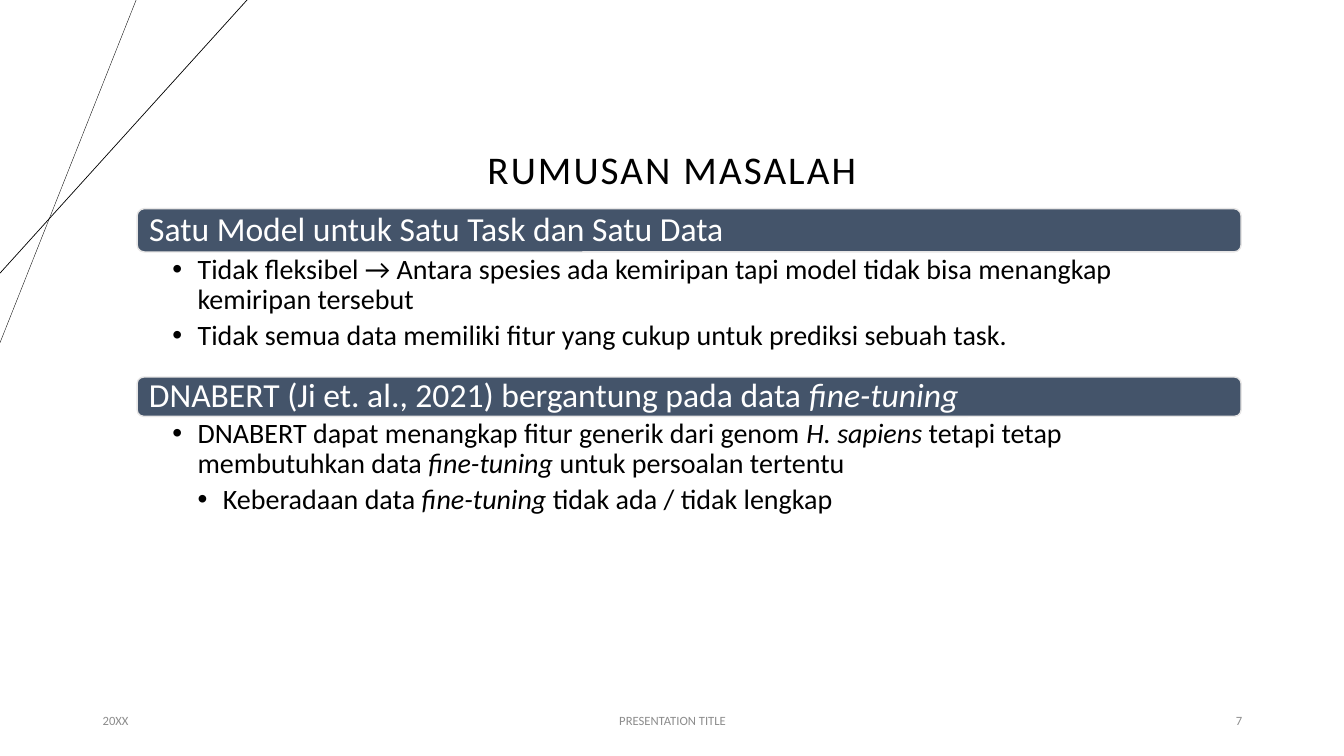
"""Build the "Rumusan Masalah" slide with two headed bullet sections."""
from lxml import etree
from pptx import Presentation
from pptx.dml.color import RGBColor
from pptx.enum.shapes import MSO_CONNECTOR, MSO_SHAPE
from pptx.enum.text import MSO_ANCHOR, PP_ALIGN
from pptx.oxml.ns import qn
from pptx.util import Inches, Pt


def rgb(color):
    return RGBColor.from_string(color)


def write(p, text, size, color, align=PP_ALIGN.LEFT):
    """Fill a paragraph; text between asterisks is italic."""
    p.alignment = align
    for i, part in enumerate(text.split("*")):
        if part:
            r = p.add_run()
            r.text = part
            r.font.name = "Calibri"
            r.font.size = Pt(size)
            r.font.color.rgb = rgb(color)
            r.font.italic = i % 2 == 1


prs = Presentation()
prs.slide_width, prs.slide_height = Inches(13.33), Inches(7.5)
s = prs.slides.add_slide(prs.slide_layouts[5])

for x, y, width in [(1.35, 3.4, 0.25), (2.45, 2.71, 0.5)]:
    line = s.shapes.add_connector(MSO_CONNECTOR.STRAIGHT, Inches(x), 0, 0, Inches(y))
    line.line.color.rgb = rgb("000000")
    line.line.width = Pt(width)
    etree.SubElement(line._element.spPr, qn("a:effectLst"))

title = s.shapes.title
title.left, title.top = Inches(2.06), Inches(0.98)
title.width, title.height = Inches(9.21), Inches(1.45)
tf = title.text_frame
tf.vertical_anchor = MSO_ANCHOR.MIDDLE
p = tf.paragraphs[0]
p.line_spacing = 0.9
write(p, "RUMUSAN MASALAH", 28, "000000", PP_ALIGN.CENTER)
p.runs[0].font._element.set("spc", "150")

sections = [
    (2.07, 0.43, 1.23, "Satu Model untuk Satu Task dan Satu Data", [
        (1, "Tidak fleksibel → Antara spesies ada kemiripan tapi model tidak bisa "
            "menangkap kemiripan tersebut"),
        (1, "Tidak semua data memiliki fitur yang cukup untuk prediksi sebuah task."),
    ]),
    (3.74, 0.39, 2.24, "DNABERT (Ji et. al., 2021) bergantung pada data *fine-tuning*", [
        (1, "DNABERT dapat menangkap fitur generik dari genom *H. sapiens *tetapi tetap "
            "membutuhkan data *fine-tuning *untuk persoalan tertentu"),
        (2, "Keberadaan data *fine-tuning *tidak ada / tidak lengkap"),
    ]),
]
for top, bar_height, body_height, heading, bullets in sections:
    bar = s.shapes.add_shape(MSO_SHAPE.ROUNDED_RECTANGLE, Inches(1.36), Inches(top),
                             Inches(10.95), Inches(bar_height))
    bar.shadow.inherit = False
    bar.fill.solid()
    bar.fill.fore_color.rgb = rgb("44546A")
    bar.line.color.rgb = rgb("E7E6E6")
    bar.line.width = Pt(1)
    tf = bar.text_frame
    tf.word_wrap = True
    tf.vertical_anchor = MSO_ANCHOR.MIDDLE
    tf.margin_left = tf.margin_right = Inches(0.1)
    tf.margin_top = tf.margin_bottom = 0
    tf.paragraphs[0].line_spacing = 0.9
    write(tf.paragraphs[0], heading, 24, "FFFFFF")

    body = s.shapes.add_textbox(Inches(1.36), Inches(top + bar_height),
                                Inches(10.95), Inches(body_height))
    tf = body.text_frame
    tf.word_wrap = True
    tf.margin_left, tf.margin_right = Inches(0.35), Inches(0.16)
    tf.margin_top = tf.margin_bottom = Inches(0.03)
    for i, (level, text) in enumerate(bullets):
        p = tf.add_paragraph() if i else tf.paragraphs[0]
        p.level = level
        p.line_spacing = 0.9
        p.space_after = Pt(4)
        write(p, text, 20, "000000")
        pPr = p._p.get_or_add_pPr()
        pPr.set("marL", str(Inches(0.25 * level)))
        pPr.set("indent", str(Inches(-0.25)))
        etree.SubElement(pPr, qn("a:buFont"), typeface="Arial")
        etree.SubElement(pPr, qn("a:buChar"), char="•")

footers = [
    (0.92, 3, "20XX", PP_ALIGN.LEFT),
    (4.42, 4.5, "PRESENTATION TITLE", PP_ALIGN.CENTER),
    (9.42, 3, "7", PP_ALIGN.RIGHT),
]
for left, width, text, align in footers:
    footer = s.shapes.add_textbox(Inches(left), Inches(6.95), Inches(width), Inches(0.4))
    tf = footer.text_frame
    tf.word_wrap = True
    tf.vertical_anchor = MSO_ANCHOR.MIDDLE
    write(tf.paragraphs[0], text, 9, "8C8C8C", align)

prs.save("out.pptx")
